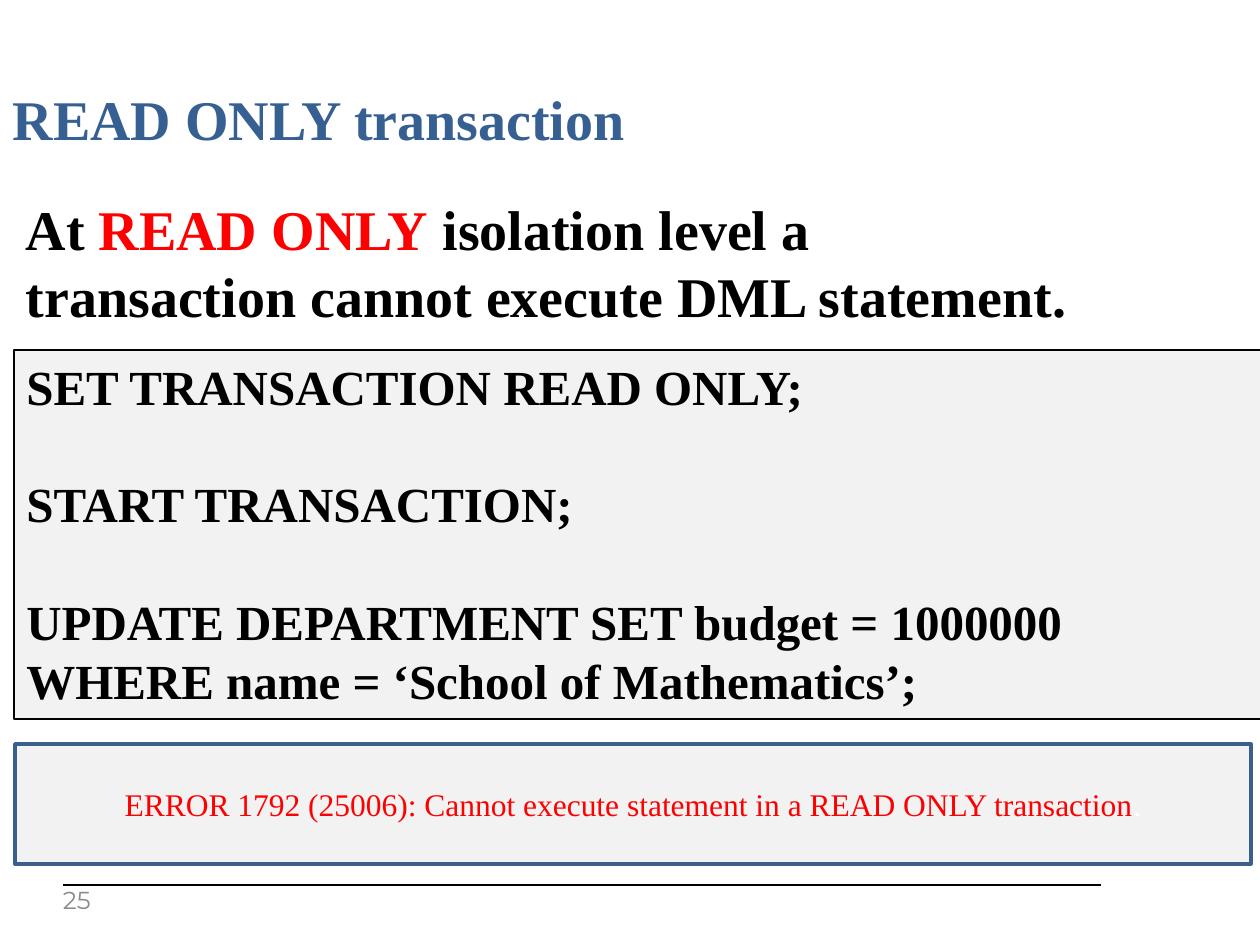
from lxml import etree
from pptx import Presentation
from pptx import util as u
from pptx.dml.color import RGBColor
from pptx.enum import shapes, text
from pptx.oxml.ns import qn

PX = 914400 / 126
SERIF = "Times New Roman"
BLACK, RED, PANEL = "000000", "FF0000", "F2F2F2"


def px(*lengths):
    return [u.Emu(round(n * PX)) for n in lengths]


def color(code):
    return RGBColor.from_string(code)


def place(box, left, top, width, height):
    box.left, box.top, box.width, box.height = px(left, top, width, height)


def add_run(line, words, size, code, bold=True, font=SERIF):
    run = line.add_run()
    run.text = words
    run.font.name, run.font.size, run.font.bold = font, u.Pt(size), bold
    run.font.color.rgb = color(code)


def setup_frame(frame, anchor=text.MSO_ANCHOR.TOP):
    frame.word_wrap = True
    frame.auto_size = text.MSO_AUTO_SIZE.NONE
    frame.vertical_anchor = anchor
    return frame


def write_lines(frame, lines, size, bold=True, align=text.PP_ALIGN.LEFT):
    """Each line is (space before in points, [(words, colour), ...])."""
    for i, (gap, parts) in enumerate(lines):
        line = frame.add_paragraph() if i else frame.paragraphs[0]
        line.alignment = align
        line.space_before = u.Pt(gap)
        for words, code in parts:
            add_run(line, words, size, code, bold)


def remove_bullets(frame):
    for line in frame.paragraphs:
        props = line._p.get_or_add_pPr()
        props.set("marL", "0")
        props.set("indent", "0")
        etree.SubElement(props, qn("a:buNone"))


def add_panel(slide, bounds, line_code, line_width, anchor):
    panel = slide.shapes.add_shape(shapes.MSO_SHAPE.RECTANGLE, *px(*bounds))
    panel.shadow.inherit = False
    panel.fill.solid()
    panel.fill.fore_color.rgb = color(PANEL)
    panel.line.color.rgb = color(line_code)
    panel.line.width = u.Pt(line_width)
    return setup_frame(panel.text_frame, anchor)


def add_footer(slide, number):
    rule = slide.shapes.add_connector(
        shapes.MSO_CONNECTOR.STRAIGHT, *px(63, 885, 1101, 885))
    rule.line.color.rgb = color(BLACK)
    rule.line.width = u.Pt(0.75)
    etree.SubElement(rule._element.spPr, qn("a:effectLst"))

    page = slide.shapes.add_textbox(*px(63, 889, 50, 27))
    frame = setup_frame(page.text_frame, text.MSO_ANCHOR.MIDDLE)
    frame.margin_left = frame.margin_top = 0
    add_run(frame.paragraphs[0], number, 14, "8B8B8B", False, "Montserrat")


def main():
    prs = Presentation()
    prs.slide_width, prs.slide_height = u.Inches(10), u.Inches(7.5)
    slide = prs.slides.add_slide(prs.slide_layouts[1])
    add_footer(slide, "25")

    # Title
    title = slide.shapes.title
    place(title, 0, 78, 1260, 84)
    write_lines(setup_frame(title.text_frame),
                [(0, [("READ ONLY transaction", "376092")])], 32)

    # Rule of the isolation level
    rule = slide.placeholders[1]
    place(rule, 13, 188, 1251, 149)
    frame = setup_frame(rule.text_frame)
    write_lines(frame, [
        (0, [("At ", BLACK), ("READ ONLY", RED), (" isolation level a", BLACK)]),
        (0, [("transaction cannot execute DML statement.", BLACK)]),
    ], 32)
    remove_bullets(frame)

    # SQL example, with one line's height between statements
    blank = 33.5
    sql = add_panel(slide, (14, 350, 1251, 369), BLACK, 0.75,
                    text.MSO_ANCHOR.TOP)
    write_lines(sql, [
        (0, [("SET TRANSACTION READ ONLY;", BLACK)]),
        (blank, [("START TRANSACTION;", BLACK)]),
        (blank, [("UPDATE DEPARTMENT SET budget = 1000000", BLACK)]),
        (0, [("WHERE name = ‘School of Mathematics’;", BLACK)]),
    ], 28)

    # Server's reply
    error = add_panel(slide, (15, 744, 1236, 120), "3A5F8C", 2,
                      text.MSO_ANCHOR.MIDDLE)
    message = ("ERROR 1792 (25006): Cannot execute statement "
               "in a READ ONLY transaction")
    write_lines(error, [(0, [(message, RED), (".", "FFFFFF")])], 18,
                bold=False, align=text.PP_ALIGN.CENTER)

    prs.save("out.pptx")


if __name__ == "__main__":
    main()
